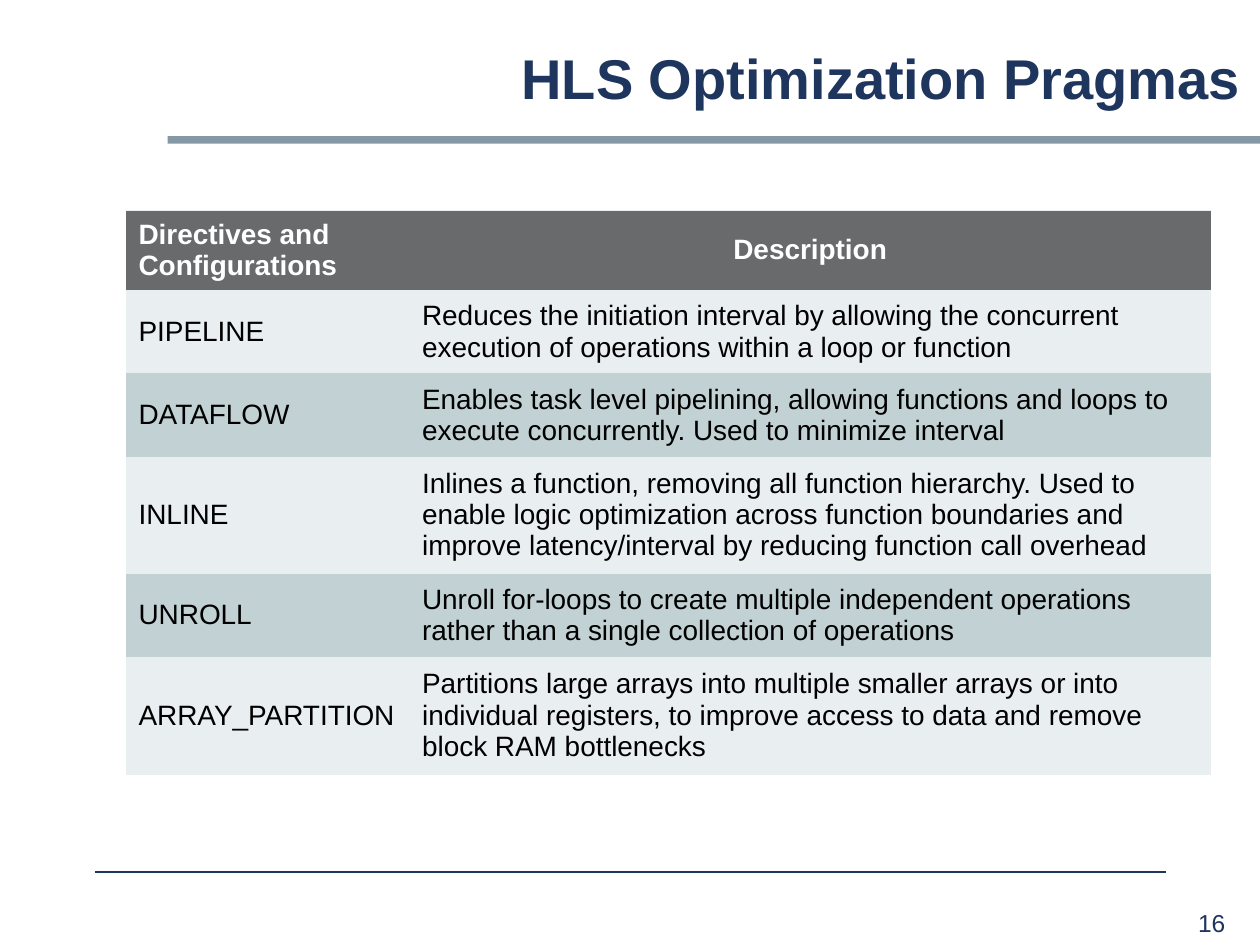
from lxml.etree import SubElement
from pptx import Presentation
from pptx.dml.color import RGBColor
from pptx.enum.shapes import MSO_CONNECTOR, MSO_SHAPE
from pptx.enum.text import MSO_ANCHOR, PP_ALIGN
from pptx.oxml import parse_xml
from pptx.oxml.ns import nsdecls, qn
from pptx.util import Inches, Pt

COLORS = {
    "navy": "1E355E",
    "rule": "8499A5",
    "header": "696A6C",
    "light": "E9EEF1",
    "dark": "C2D1D3",
    "white": "FFFFFF",
    "black": "000000",
}
NO_STYLE_NO_GRID = "{2D5ABB26-0587-4C30-8999-92F81FD0307C}"

HEADINGS = ("Directives and Configurations", "Description")
PRAGMAS = [
    ("PIPELINE", "Reduces the initiation interval by allowing the concurrent\n"
                 "execution of operations within a loop or function"),
    ("DATAFLOW", "Enables task level pipelining, allowing functions and loops to "
                 "execute concurrently. Used to minimize interval"),
    ("INLINE", "Inlines a function, removing all function hierarchy. Used to "
               "enable logic optimization across function boundaries and "
               "improve latency/interval by reducing function call overhead"),
    ("UNROLL", "Unroll for-loops to create multiple independent operations "
               "rather than a single collection of operations"),
    ("ARRAY_PARTITION", "Partitions large arrays into multiple smaller arrays or into "
                        "individual registers, to improve access to data and remove "
                        "block RAM bottlenecks"),
]
COLUMN_WIDTHS = (2.25, 6.36)
ROW_HEIGHTS = (0.63, 0.66, 0.66, 0.93, 0.66, 0.93)


def color(name):
    return RGBColor.from_string(COLORS[name])


def write(frame, text, size, color_name, bold=False, align=PP_ALIGN.LEFT):
    """Fill a text frame, one paragraph per line of text, in one format."""
    frame.text = text
    for para in frame.paragraphs:
        para.alignment = align
        for name, value in {"name": "Arial", "size": Pt(size), "bold": bold}.items():
            setattr(para.font, name, value)
        para.font.color.rgb = color(color_name)


def add_border(cell, side):
    """Draw a hairline on the side 'T' or 'B' of a cell."""
    line = parse_xml(
        f'<a:ln{side} {nsdecls("a")} w="5715"><a:solidFill>'
        f'<a:srgbClr val="{COLORS["light"]}"/></a:solidFill></a:ln{side}>')
    cell.fill.solid()
    properties = cell._tc.get_or_add_tcPr()
    position = 0 if side == "T" else len(properties.findall(qn("a:lnT")))
    properties.insert(position, line)


def add_title(page, left, top, width, height):
    title = page.shapes.title
    for name, value in zip(("left", "top", "width", "height"), (left, top, width, height)):
        setattr(title, name, Inches(value))
    frame = title.text_frame
    frame.vertical_anchor = MSO_ANCHOR.MIDDLE
    write(frame, "HLS Optimization Pragmas", 32, "navy", True, PP_ALIGN.RIGHT)
    frame.paragraphs[0].line_spacing = 0.82


def add_title_rule(page, left, top, width, height):
    rule = page.shapes.add_shape(
        MSO_SHAPE.RECTANGLE, Inches(left), Inches(top), Inches(width), Inches(height))
    rule.shadow.inherit = False
    rule.fill.solid()
    rule.fill.fore_color.rgb = color("rule")
    rule.line.fill.background()


def add_footer(page, left, top, width):
    line = page.shapes.add_connector(
        MSO_CONNECTOR.STRAIGHT, Inches(left), Inches(top), Inches(left + width), Inches(top))
    line.line.color.rgb = color("navy")
    line.line.width = Pt(0.75)
    SubElement(line._element.spPr, qn("a:effectLst"))

    number = page.shapes.add_textbox(
        Inches(left + 8.66), Inches(top + 0.24), Inches(0.65), Inches(0.26))
    number.text_frame.word_wrap = True
    write(number.text_frame, "16", 14, "navy")


def add_pragma_table(page, left, top):
    rows = [HEADINGS, *PRAGMAS]
    frame = page.shapes.add_table(
        len(rows), len(HEADINGS), Inches(left), Inches(top),
        Inches(sum(COLUMN_WIDTHS)), Inches(sum(ROW_HEIGHTS)))
    table = frame.table
    table._tbl.tblPr.find(qn("a:tableStyleId")).text = NO_STYLE_NO_GRID
    for column, width in zip(table.columns, COLUMN_WIDTHS):
        column.width = Inches(width)
    for row, height in zip(table.rows, ROW_HEIGHTS):
        row.height = Inches(height)

    for r, texts in enumerate(rows):
        is_header = r == 0
        fill = "header" if is_header else ("dark", "light")[r % 2]
        for c, text in enumerate(texts):
            cell = table.cell(r, c)
            cell.vertical_anchor = MSO_ANCHOR.MIDDLE
            cell.fill.solid()
            cell.fill.fore_color.rgb = color(fill)
            align = PP_ALIGN.CENTER if is_header and c == 1 else PP_ALIGN.LEFT
            write(cell.text_frame, text, 16, "white" if is_header else "black",
                  is_header, align)
            if is_header:
                add_border(cell, "T")
            if is_header or r == len(rows) - 1:
                add_border(cell, "B")


def main():
    deck = Presentation()
    deck.slide_width, deck.slide_height = Inches(10), Inches(7.5)
    page = deck.slides.add_slide(deck.slide_layouts[5])
    add_title_rule(page, 1.33, 1.08, 8.67, 0.06)
    add_footer(page, 0.75, 6.92, 8.5)
    add_title(page, 1.7, 0.14, 8.25, 1.04)
    add_pragma_table(page, 1, 1.67)
    deck.save("out.pptx")


if __name__ == "__main__":
    main()
